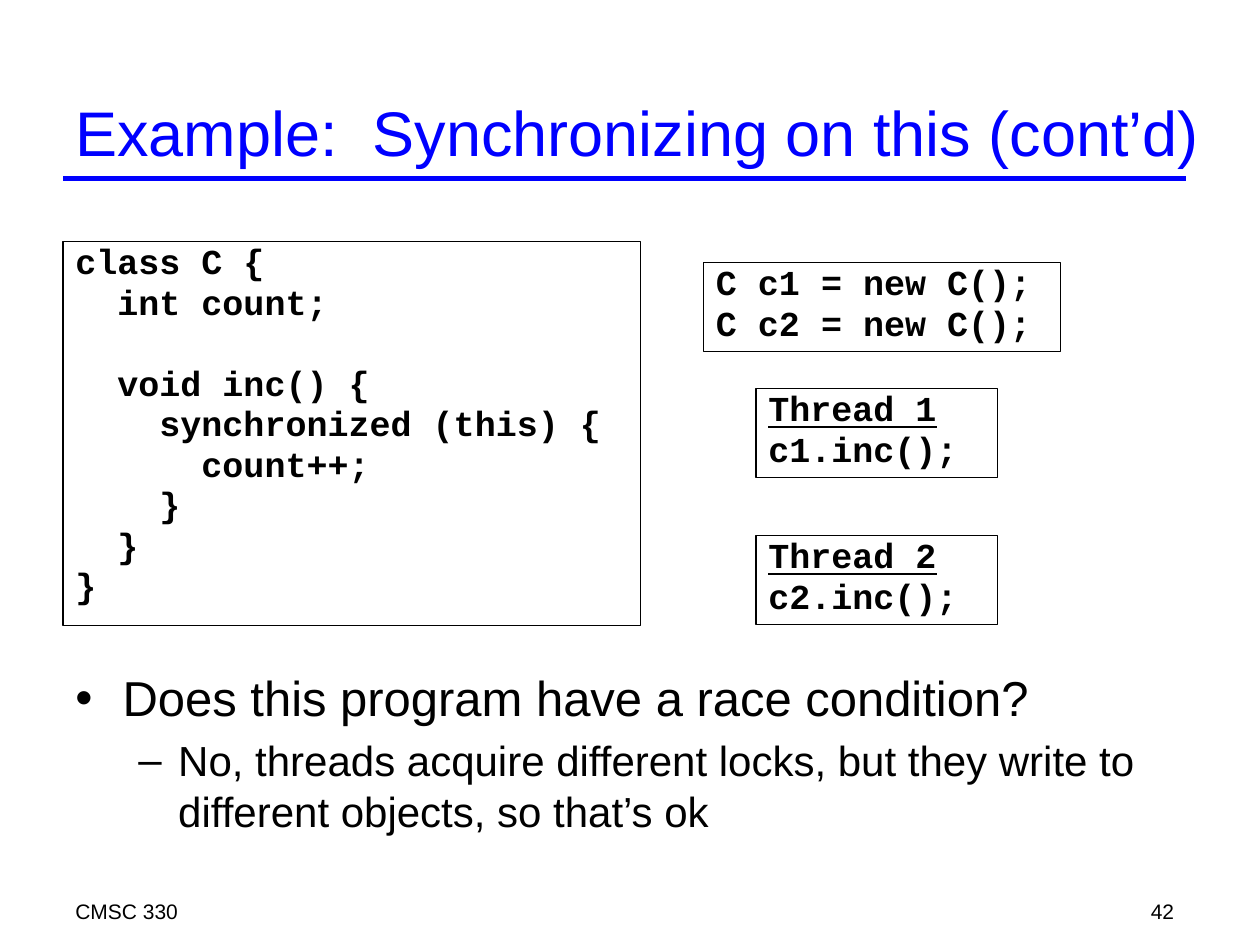
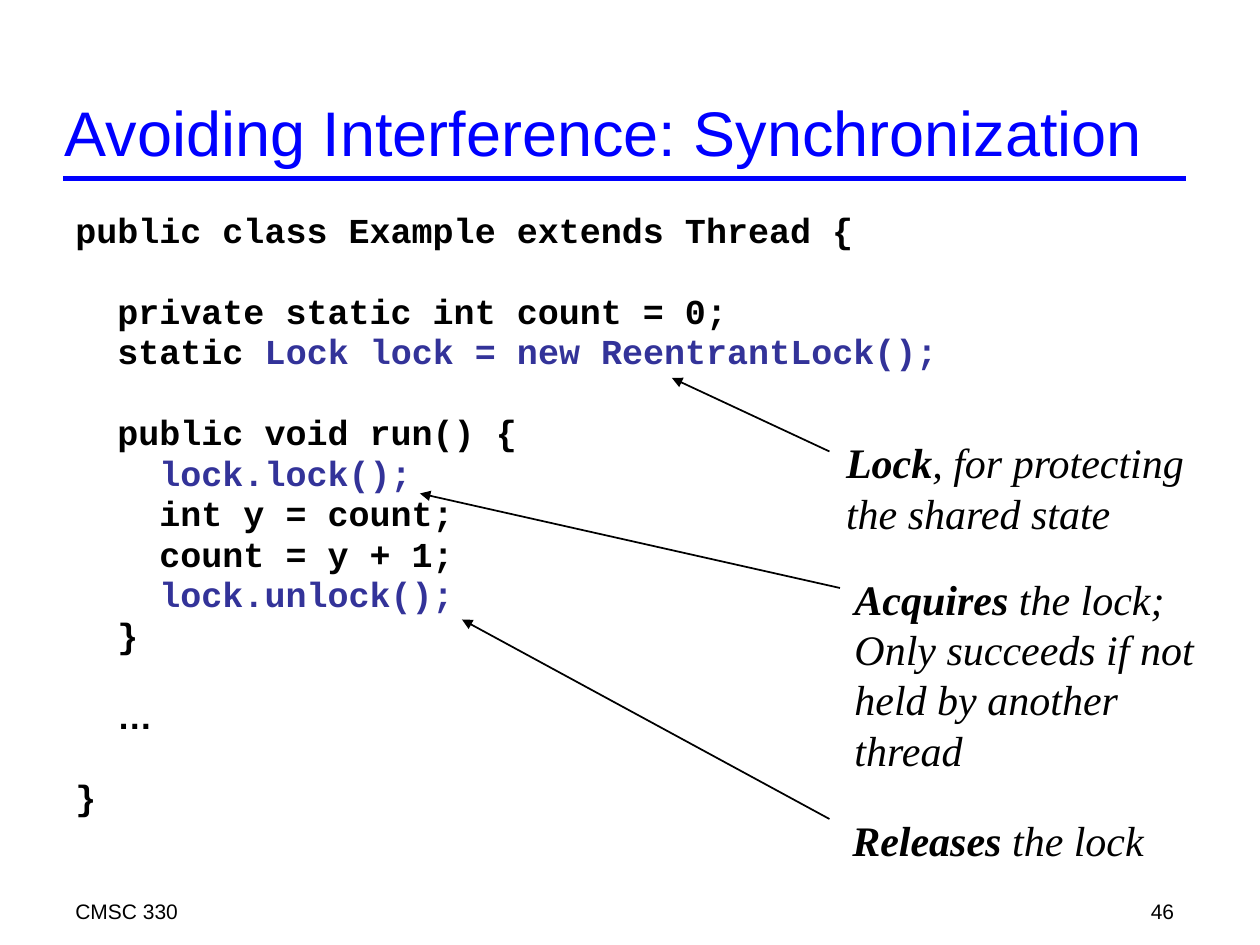
from pptx import Presentation
from pptx.dml.color import RGBColor
from pptx.enum.shapes import MSO_CONNECTOR as CONNECTOR, MSO_SHAPE as SHAPE
from pptx.enum.text import MSO_ANCHOR as ANCHOR, PP_ALIGN as ALIGN
from pptx.oxml.ns import qn
from pptx.util import Pt
from lxml.etree import SubElement

EMU_PER_PX = 7620  # 120 px to the inch
COLORS = {"title": "0000FF", "text": "000000", "lock": "333399"}

# Text styles
TITLE = {"name": "Arial", "size": Pt(36), "color": "title"}
FOOTER = {"name": "Arial", "size": Pt(12)}
POINT = {"name": "Arial", "size": Pt(28)}
SUBPOINT = {**POINT, "size": Pt(24)}
CODE = {"name": "Courier New", "size": Pt(20), "bold": True}
HEADING = {**CODE, "underline": True}
LOCK_CODE = {**CODE, "color": "lock"}
ELLIPSIS = {**CODE, "name": "Arial"}
NOTE = {"name": "Times New Roman", "size": Pt(24), "italic": True}
KEYWORD = {**NOTE, "bold": True}

# Points between code lines, and the points a skipped line adds
CODE_GAP, CODE_PITCH = 3.9, 23.2
SUBPOINT_GAP = 4.8

COUNTER_CLASS = [
    "class C {",
    "  int count;",
    "",
    "  void inc() {",
    "    synchronized (this) {",
    "      count++;",
    "    }",
    "  }",
    "}",
]

LOCK_EXAMPLE = [
    "public class Example extends Thread {",
    "",
    "  private static int count = 0;",
    [("  static ", CODE), ("Lock lock = new ReentrantLock();", LOCK_CODE)],
    "",
    "  public void run() {",
    [("    lock.lock();", LOCK_CODE)],
    "    int y = count;",
    "    count = y + 1;",
    [("    lock.unlock();", LOCK_CODE)],
    "  }",
    "",
    [("  ", CODE), ("…", ELLIPSIS)],
    "",
    "}",
]

# Each note: text box, arrow start, arrow tip, lines
LOCK_NOTES = [
    ((794, 410, 358, 108), (790, 430), (640, 360),
     [[("Lock", KEYWORD), (", for protecting", NOTE)], "the shared state"]),
    ((802, 540, 348, 204), (800, 560), (400, 470),
     [[("Acquires", KEYWORD), (" the lock;", NOTE)], "Only succeeds if not",
      "held by another", "thread"]),
    ((800, 770, 302, 60), (790, 780), (440, 590),
     [[("Releases", KEYWORD), (" the lock", NOTE)]]),
]


def px(*lengths):
    return [length * EMU_PER_PX for length in lengths]


def rgb(key):
    return RGBColor.from_string(COLORS[key])


def style_font(font, style):
    for attribute, value in style.items():
        if attribute != "color":
            setattr(font, attribute, value)
    font.color.rgb = rgb(style.get("color", "text"))


def add_runs(paragraph, content, style):
    runs = [(content, style)] if isinstance(content, str) else content
    for text, run_style in runs:
        run = paragraph.add_run()
        run.text = text
        style_font(run.font, run_style)


def next_paragraph(frame, first):
    return frame.paragraphs[0] if first else frame.add_paragraph()


def add_text(slide, box, lines, style, align=ALIGN.LEFT, anchor=ANCHOR.TOP, wrap=True):
    frame = slide.shapes.add_textbox(*px(*box)).text_frame
    frame.word_wrap = wrap
    frame.vertical_anchor = anchor
    for index, line in enumerate(lines):
        paragraph = next_paragraph(frame, index == 0)
        paragraph.alignment = align
        add_runs(paragraph, line, style)


def fill_code(frame, lines):
    """Write code lines; an empty string leaves one line's room."""
    frame.word_wrap = True
    frame.vertical_anchor = ANCHOR.TOP
    gap = 0
    for index, line in enumerate(lines):
        if not line:
            gap += CODE_PITCH
            continue
        paragraph = next_paragraph(frame, index == 0)
        layout = {"alignment": ALIGN.LEFT, "line_spacing": 0.8, "space_before": Pt(gap)}
        for attribute, value in layout.items():
            setattr(paragraph, attribute, value)
        add_runs(paragraph, line, CODE)
        gap = CODE_GAP


def add_code_box(slide, box, lines):
    frame_box = slide.shapes.add_shape(SHAPE.RECTANGLE, *px(*box))
    frame_box.shadow.inherit = False
    frame_box.fill.background()
    frame_box.line.color.rgb = rgb("text")
    frame_box.line.width = Pt(0.75)
    fill_code(frame_box.text_frame, lines)


def add_line(slide, start, end, color, width, arrow=False):
    line = slide.shapes.add_connector(CONNECTOR.STRAIGHT, *px(*start, *end))
    line.line.color.rgb = rgb(color)
    line.line.width = Pt(width)
    if arrow:
        SubElement(line.line._get_or_add_ln(), qn("a:tailEnd"), type="triangle")
    SubElement(line._element.spPr, qn("a:effectLst"))


def add_bullets(slide, box, points):
    frame = slide.shapes.add_textbox(*px(*box)).text_frame
    frame.word_wrap = True
    for index, (text, bullet, margin, hanging, style) in enumerate(points):
        paragraph = next_paragraph(frame, index == 0)
        paragraph.space_before = Pt(SUBPOINT_GAP if index else 0)
        properties = paragraph._p.get_or_add_pPr()
        for name, length in zip(("marL", "indent"), px(margin, -hanging)):
            properties.set(name, str(length))
        SubElement(properties, qn("a:buFont"), typeface="Arial")
        SubElement(properties, qn("a:buChar"), char=bullet)
        add_runs(paragraph, text, style)


def start_slide(deck, title, title_box, number):
    """Add a slide with the shared rule, footer and title."""
    slide = deck.slides.add_slide(deck.slide_layouts[6])
    add_line(slide, (60, 170), (1130, 170), "title", 3)
    add_text(slide, (60, 850, 730, 30), ["CMSC 330"], FOOTER)
    add_text(slide, (880, 850, 250, 30), [str(number)], FOOTER, align=ALIGN.RIGHT)
    add_text(slide, title_box, [title], TITLE, anchor=ANCHOR.MIDDLE)
    return slide


def build_this_example(deck):
    slide = start_slide(deck, "Example:  Synchronizing on this (cont’d)",
                        (60, 80, 1100, 90), 42)
    add_bullets(slide, (60, 630, 1070, 210), [
        ("Does this program have a race condition?", "•", 45, 45, POINT),
        ("No, threads acquire different locks, but they write to different "
         "objects, so that’s ok", "–", 98, 38, SUBPOINT),
    ])
    add_code_box(slide, (60, 230, 550, 366), COUNTER_CLASS)
    add_code_box(slide, (670, 250, 340, 85), ["C c1 = new C();", "C c2 = new C();"])
    for thread, top in ((1, 370), (2, 510)):
        add_code_box(slide, (720, top, 230, 85),
                     [[(f"Thread {thread}", HEADING)], f"c{thread}.inc();"])


def build_lock_example(deck):
    slide = start_slide(deck, "Avoiding Interference: Synchronization",
                        (50, 50, 1070, 150), 46)
    listing = slide.shapes.add_textbox(*px(60, 200, 1070, 640))
    fill_code(listing.text_frame, LOCK_EXAMPLE)
    for box, start, tip, lines in LOCK_NOTES:
        add_text(slide, box, lines, NOTE, wrap=False)
        add_line(slide, start, tip, "text", 1, arrow=True)


def main():
    deck = Presentation()
    deck.slide_width, deck.slide_height = px(1200, 900)
    build_this_example(deck)
    build_lock_example(deck)
    deck.save("out.pptx")


if __name__ == "__main__":
    main()
